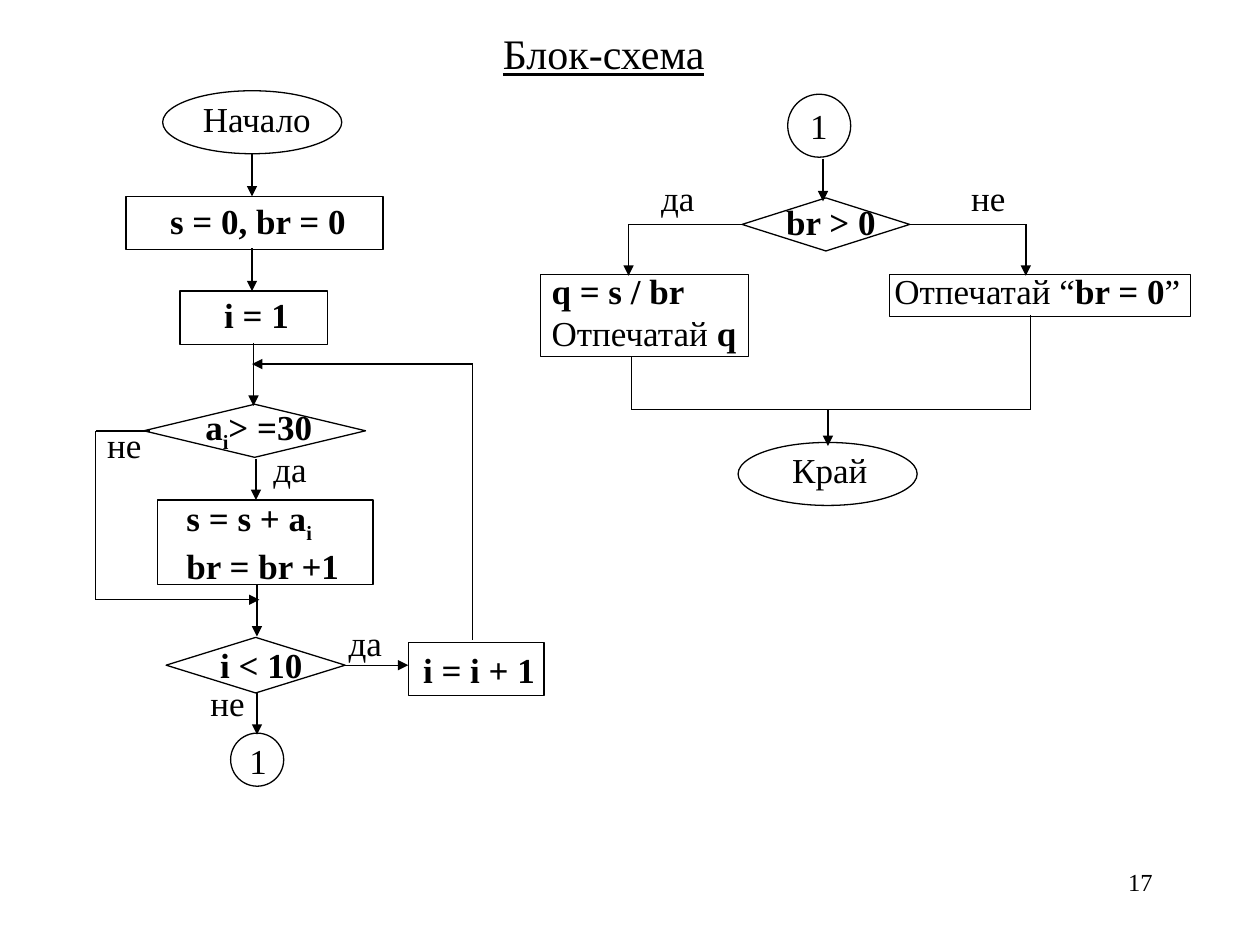
from lxml import etree
from pptx import Presentation
from pptx.dml.color import RGBColor
from pptx.enum.shapes import MSO_CONNECTOR, MSO_SHAPE
from pptx.enum.text import MSO_ANCHOR, MSO_AUTO_SIZE, PP_ALIGN
from pptx.oxml.ns import qn
from pptx.util import Cm, Pt

BLACK = "000000"
TEXT_HEIGHT = 1.12


def color(hex_code):
    return RGBColor.from_string(hex_code)


def write(shape, runs, align=PP_ALIGN.LEFT, **font_format):
    """Fill a text shape with (text, style) runs; style is "", "b" or "b sub"."""
    frame = shape.text_frame
    frame_format = {
        "word_wrap": True, "auto_size": MSO_AUTO_SIZE.NONE,
        "vertical_anchor": MSO_ANCHOR.TOP,
        "margin_left": Cm(0.25), "margin_right": Cm(0.25),
        "margin_top": Cm(0.13), "margin_bottom": Cm(0.13),
    }
    for key, value in frame_format.items():
        setattr(frame, key, value)
    paragraph = frame.paragraphs[0]
    paragraph.alignment = align
    for text, style in runs:
        for number, line in enumerate(text.split("\n")):
            if number:
                paragraph.add_line_break()
            if not line:
                continue
            run = paragraph.add_run()
            run.text = line
            run_format = {"name": "Times New Roman", "size": Pt(20),
                          "bold": "b" in style.split(), **font_format}
            for key, value in run_format.items():
                setattr(run.font, key, value)
            run.font.color.rgb = color(BLACK)
            if "sub" in style:
                run.font._element.set("baseline", "-25000")


deck = Presentation()
deck.slide_width, deck.slide_height = Cm(25.4), Cm(19.05)
slide = deck.slides.add_slide(deck.slide_layouts[5])
shapes = slide.shapes

title = shapes.title
title.left, title.top, title.width, title.height = map(Cm, (9.53, 0.43, 5.28, 1.27))
write(title, [("Блок-схема", "")], PP_ALIGN.CENTER, size=Pt(24), underline=True)

# Outlines of the flowchart steps: left, top, width, height
outlines = {
    MSO_SHAPE.OVAL: [
        (3.28, 1.83, 3.61, 1.27), (14.88, 8.92, 3.61, 1.27),
        (4.65, 14.78, 1.07, 1.07), (15.88, 1.9, 1.27, 1.27),
    ],
    MSO_SHAPE.RECTANGLE: [
        (2.54, 3.96, 5.18, 1.07), (3.63, 5.87, 2.97, 1.07),
        (3.18, 10.08, 4.34, 1.7), (8.23, 12.95, 2.74, 1.07),
        (10.9, 5.54, 4.19, 1.65), (17.93, 5.54, 6.07, 0.84),
    ],
    MSO_SHAPE.DIAMOND: [
        (2.9, 8.15, 4.47, 1.07), (3.35, 12.85, 3.61, 1.12),
        (14.96, 3.99, 3.38, 1.07),
    ],
}
for preset, boxes in outlines.items():
    for box in boxes:
        step = shapes.add_shape(preset, *map(Cm, box))
        step.shadow.inherit = False
        step.fill.background()
        step.line.color.rgb = color(BLACK)
        step.line.width = Pt(0.75)

# Flow paths: corner points, arrowhead at the last point
flows = [
    ([(5.08, 3.1), (5.08, 3.96)], True),
    ([(5.08, 5), (5.08, 5.87)], True),
    ([(5.11, 6.91), (5.11, 8.18)], True),
    ([(5.16, 9.25), (5.16, 10.08)], True),
    ([(5.18, 11.79), (5.18, 12.83)], True),
    ([(5.18, 13.97), (5.18, 14.81)], True),
    ([(6.96, 13.41), (8.23, 13.41)], True),
    ([(9.53, 12.9), (9.53, 7.34), (5.08, 7.34)], True),
    ([(3.02, 8.69), (1.93, 8.69), (1.93, 12.09), (5.23, 12.09)], True),
    ([(16.59, 3.2), (16.59, 4.06)], True),
    ([(18.34, 4.52), (20.68, 4.52), (20.68, 5.56)], True),
    ([(14.99, 4.52), (12.67, 4.52), (12.67, 5.56)], True),
    ([(12.73, 7.19), (12.73, 8.25), (20.78, 8.25), (20.78, 6.35)], False),
    ([(16.69, 8.25), (16.69, 8.99)], True),
]
for points, has_arrow in flows:
    for start, end in zip(points, points[1:]):
        segment = shapes.add_connector(MSO_CONNECTOR.STRAIGHT, *map(Cm, start + end))
        segment.line.color.rgb = color(BLACK)
        segment.line.width = Pt(0.75)
        if has_arrow and end == points[-1]:
            etree.SubElement(segment.line._get_or_add_ln(), qn("a:tailEnd"), type="triangle")
        etree.SubElement(segment._element.spPr, qn("a:effectLst"))

# Step texts: left, top, width, height, runs
step_texts = [
    (3.84, 1.83, 2.74, TEXT_HEIGHT, [("Начало", "")]),
    (3.18, 3.89, 4.14, TEXT_HEIGHT, [("s = 0, br = 0", "b")]),
    (4.27, 5.79, 1.91, TEXT_HEIGHT, [("i = 1", "b")]),
    (3.89, 8.05, 2.97, 1.22, [("a", "b"), ("i", "b sub"), ("> =30", "b")]),
    (3.51, 9.88, 4.01, 2.08, [("s = s + a", "b"), ("i", "b sub"), ("\nbr = br +1", "b")]),
    (4.19, 12.85, 2.3, TEXT_HEIGHT, [("i < 10", "b")]),
    (8.28, 12.95, 2.97, TEXT_HEIGHT, [("i = i + 1", "b")]),
    (4.78, 14.78, 1.27, TEXT_HEIGHT, [("1", "")]),
    (16.08, 1.98, 1.47, TEXT_HEIGHT, [("1", "")]),
    (15.6, 3.91, 2.97, TEXT_HEIGHT, [("br > 0", "b")]),
    (10.87, 5.31, 4.88, 1.96, [("q = s / br\n", "b"), ("Отпечатай ", ""), ("q", "b")]),
    (17.78, 5.31, 6.43, TEXT_HEIGHT, [("Отпечатай “", ""), ("br = 0", "b"), ("”", "")]),
    (15.72, 8.92, 2.74, TEXT_HEIGHT, [("Край", "")]),
]
branches = {
    "да": [(13.08, 3.43), (5.26, 8.89), (6.78, 12.4)],
    "не": [(19.33, 3.43), (1.91, 8.41), (3.99, 13.61)],
}
for answer, corners in branches.items():
    for left, top in corners:
        step_texts.append((left, top, 1.27, TEXT_HEIGHT, [(answer, "")]))
for *box, runs in step_texts:
    write(shapes.add_textbox(*map(Cm, box)), runs)

page_number = shapes.add_textbox(Cm(18.21), Cm(17.35), Cm(5.28), Cm(1.27))
write(page_number, [("17", "")], PP_ALIGN.RIGHT, size=Pt(14))

deck.save("out.pptx")
